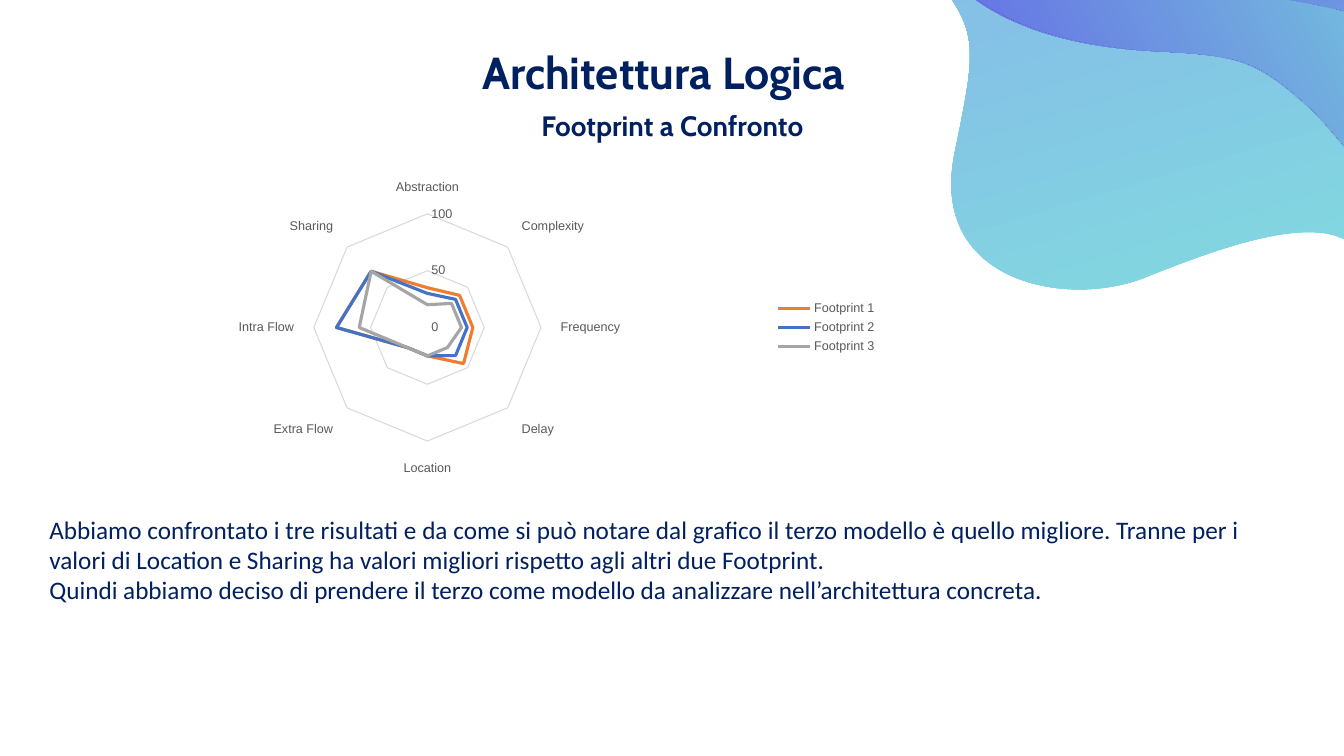
import pptx
import pptx.chart.data
import pptx.dml.color
import pptx.enum.chart
import pptx.enum.text
import pptx.oxml
import pptx.oxml.ns
import pptx.util

Pt = pptx.util.Pt
RGB = pptx.dml.color.RGBColor
ALIGN = pptx.enum.text.PP_ALIGN
qn = pptx.oxml.ns.qn

NAVY = RGB(0x00, 0x20, 0x60)
TEXT_GRAY = RGB(0x59, 0x59, 0x59)
GRID_GRAY = RGB(0xD9, 0xD9, 0xD9)
ORANGE = RGB(0xED, 0x7D, 0x31)
BLUE = RGB(0x44, 0x72, 0xC4)
GRAY = RGB(0xA5, 0xA5, 0xA5)
AQUA = RGB(0x80, 0xDE, 0xDE)
SKY = RGB(0x85, 0xC1, 0xE7)
LAVENDER = RGB(0x87, 0x8C, 0xFF)
MINT = RGB(0x7C, 0xEF, 0xD8)
INDIGO = RGB(0x66, 0x72, 0xE4)
VIOLET = RGB(0x88, 0x2B, 0xE5)

prs = pptx.Presentation()
prs.slide_width, prs.slide_height = Pt(960), Pt(540)
s = prs.slides.add_slide(prs.slide_layouts[6])


def add_text(box, paragraphs, font, size, bold, align, insets=(0, 0)):
    sp = s.shapes.add_textbox(*map(Pt, box))
    tf = sp.text_frame
    tf.word_wrap = True
    tf.auto_size = pptx.enum.text.MSO_AUTO_SIZE.SHAPE_TO_FIT_TEXT
    tf.margin_left = tf.margin_right = Pt(insets[0])
    tf.margin_top = tf.margin_bottom = Pt(insets[1])
    for i, text in enumerate(paragraphs):
        p = tf.paragraphs[0] if i == 0 else tf.add_paragraph()
        p.alignment = align
        r = p.add_run()
        r.text = text
        r.font.name, r.font.size, r.font.bold = font, Pt(size), bold
        r.font.color.rgb = NAVY


def add_wave(points, stops, angle):
    start, *rest = [(Pt(x), Pt(y)) for x, y in points]
    builder = s.shapes.build_freeform(*start)
    builder.add_line_segments(rest, close=True)
    sp = builder.convert_to_shape()
    sp.shadow.inherit = False
    sp.line.fill.background()

    lines = list(sp._element.iter(qn("a:lnTo")))
    for i in range(0, len(lines), 3):
        curve = pptx.oxml.parse_xml(
            f'<a:cubicBezTo {pptx.oxml.ns.nsdecls("a")}/>')
        lines[i].addprevious(curve)
        for line in lines[i:i + 3]:
            curve.append(line[0])
            line.getparent().remove(line)

    sp.fill.gradient()
    sp.fill.gradient_angle = angle
    gs_list = next(sp._element.iter(qn("a:gsLst")))
    for gs in list(gs_list):
        gs_list.remove(gs)
    for position, color in stops:
        gs_list.append(pptx.oxml.parse_xml(
            f'<a:gs {pptx.oxml.ns.nsdecls("a")} pos="{position * 1000}">'
            f'<a:srgbClr val="{color}"/></a:gs>'))


add_text((21.6, 31.7, 905, 39), ["Architettura Logica"],
         "Cabin", 32, True, ALIGN.CENTER)
add_text((353.5, 74.2, 253.5, 53.3), ["Footprint a Confronto"],
         "Cabin", 20, True, ALIGN.CENTER, (7.2, 3.6))

waves = [
    ([(806, -131), (803, 66), (961, -25), (1031, 60),
      (1101, 146), (1065, 202), (1039, 212),
      (1013, 222), (992, 219), (973, 183),
      (952, 146), (871, 177), (816, 199),
      (760, 220), (663, 201), (682, 109),
      (701, 17), (699, 22), (645, -45),
      (591, -112), (615, -161), (615, -161),
      (615, -161), (659, -240), (734, -226),
      (810, -212), (806, -131), (806, -131)],
     [(0, AQUA), (54, SKY), (100, LAVENDER)], 106.6),
    ([(737, -264), (737, -264), (655, -260), (647, -118),
      (638, 24), (782, 35), (833, 37),
      (885, 40), (897, 43), (934, 76),
      (971, 110), (991, 171), (1050, 120),
      (1110, 68), (1020, -1), (1009, -27),
      (999, -53), (1032, -113), (1013, -139),
      (993, -165), (981, -196), (873, -197),
      (873, -197), (818, -185), (785, -242),
      (785, -242), (763, -274), (737, -264)],
     [(0, MINT), (51, INDIGO), (100, VIOLET)], 106.6),
    ([(647, -119), (651, -183), (670, -219), (689, -239),
      (701, -242), (714, -243), (729, -240),
      (804, -226), (800, -145), (800, -145),
      (797, 53), (955, -39), (1025, 47),
      (1044, 70), (1055, 91), (1061, 109),
      (1058, 112), (1055, 116), (1051, 119),
      (991, 170), (971, 109), (935, 76),
      (898, 42), (885, 40), (834, 37),
      (782, 34), (638, 23), (647, -119)],
     [(0, VIOLET), (19, INDIGO), (100, MINT)], 26.6),
]
for points, stops, angle in waves:
    add_wave(points, stops, angle)

footprints = [
    ("Footprint 1", (35, 40, 40, 45, 25, 25, 80, 70), ORANGE),
    ("Footprint 2", (30, 35, 35, 35, 25, 25, 80, 70), BLUE),
    ("Footprint 3", (20, 30, 30, 25, 25, 25, 60, 70), GRAY),
]
data = pptx.chart.data.CategoryChartData()
data.categories = ["Abstraction", "Complexity", "Frequency", "Delay",
                   "Location", "Extra Flow", "Intra Flow", "Sharing"]
for name, values, color in footprints:
    data.add_series(name, values)
chart = s.shapes.add_chart(
    pptx.enum.chart.XL_CHART_TYPE.RADAR,
    Pt(60.5), Pt(123.8), Pt(573.1), Pt(220.3), data).chart
chart.has_title = False
chart.has_legend = True
chart.legend.position = pptx.enum.chart.XL_LEGEND_POSITION.RIGHT
chart.legend.include_in_layout = False

cat_axis, val_axis = chart.category_axis, chart.value_axis
for axis in (cat_axis, val_axis):
    axis.major_tick_mark = pptx.enum.chart.XL_TICK_MARK.NONE
    axis.minor_tick_mark = pptx.enum.chart.XL_TICK_MARK.NONE
for font in (chart.font, chart.legend.font,
             cat_axis.tick_labels.font, val_axis.tick_labels.font):
    font.name, font.size = "Arial", Pt(9)
    font.color.rgb = TEXT_GRAY
cat_axis.has_major_gridlines = False
val_axis.has_major_gridlines = True
for line in (cat_axis.format.line, val_axis.major_gridlines.format.line):
    line.color.rgb = GRID_GRAY
    line.width = Pt(0.75)
val_axis.format.line.fill.background()
val_axis.minimum_scale, val_axis.maximum_scale = 0, 100
val_axis.major_unit = 50

for series, (name, values, color) in zip(chart.plots[0].series, footprints):
    series.smooth = False
    series.marker.style = pptx.enum.chart.XL_MARKER_STYLE.NONE
    series.format.line.color.rgb = color
    series.format.line.width = Pt(2.25)

add_text((35.3, 367.2, 850.3, 65.5), [
    "Abbiamo confrontato i tre risultati e da come si può notare dal grafico "
    "il terzo modello è quello migliore. Tranne per i valori di Location e "
    "Sharing ha valori migliori rispetto agli altri due Footprint.",
    "Quindi abbiamo deciso di prendere il terzo come modello da analizzare "
    "nell’architettura concreta."],
    "Calibri", 18, False, ALIGN.JUSTIFY)

prs.save("out.pptx")
